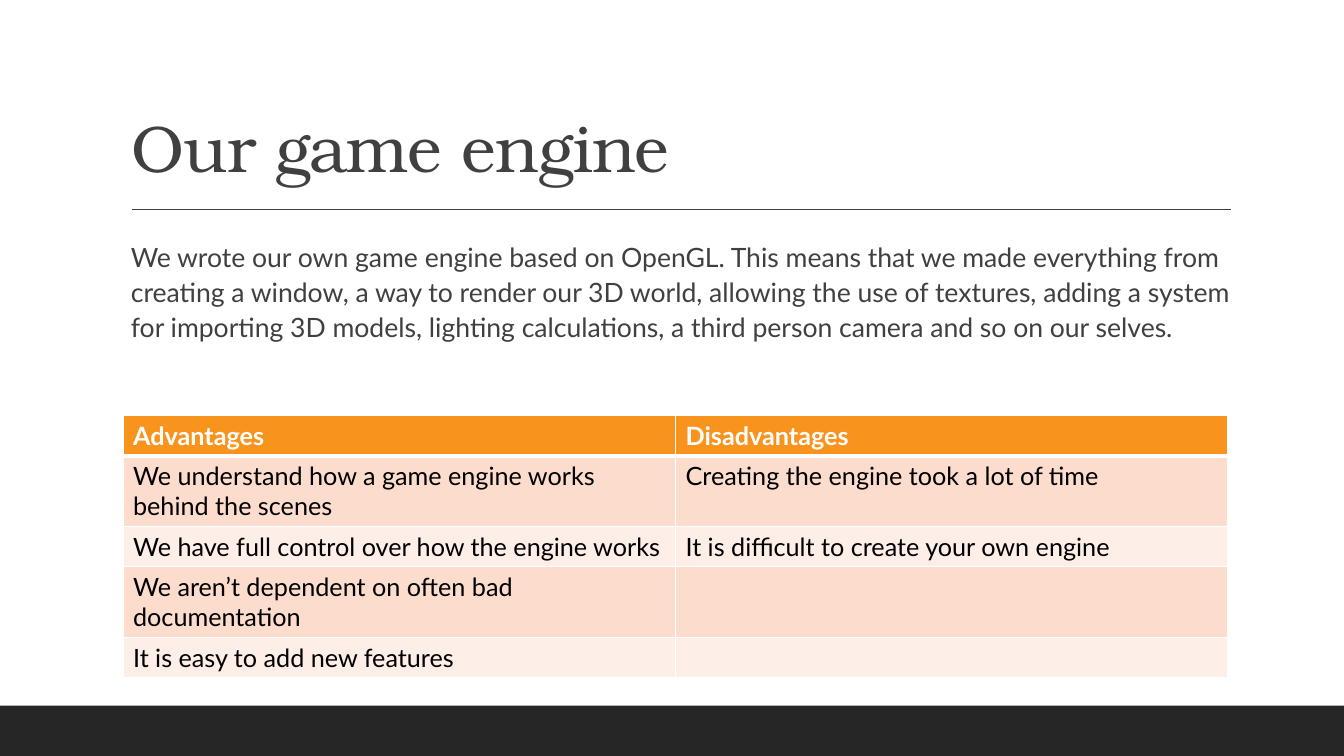
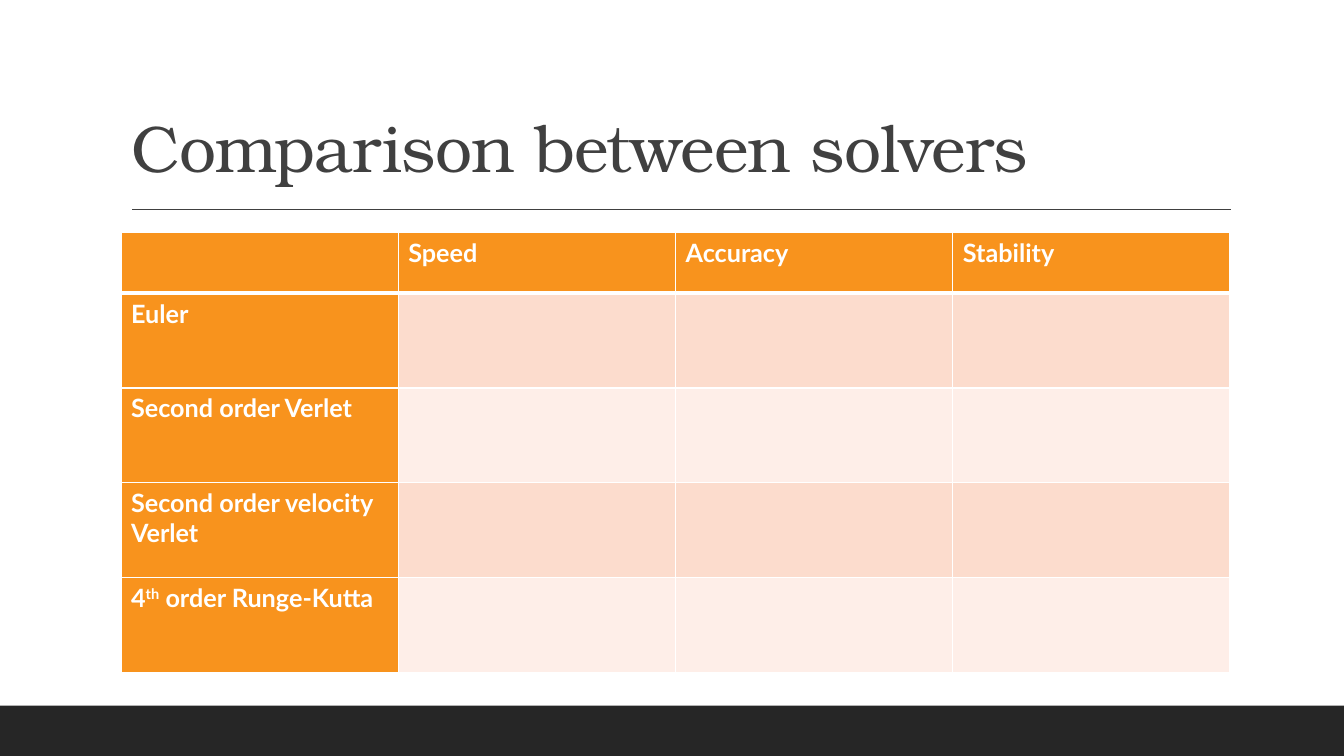
import pptx
import pptx.util
import pptx.dml.color
import pptx.enum.shapes
import pptx.enum.text
import pptx.oxml
import pptx.oxml.ns
import lxml.etree

Inches = pptx.util.Inches
Pt = pptx.util.Pt
RGBColor = pptx.dml.color.RGBColor

WHITE = RGBColor(0xFF, 0xFF, 0xFF)
BLACK = RGBColor(0x00, 0x00, 0x00)
COAL = RGBColor(0x26, 0x26, 0x26)
GREY = RGBColor(0x40, 0x40, 0x40)
ORANGE = RGBColor(0xF8, 0x93, 0x1D)
PEACH = RGBColor(0xFC, 0xDC, 0xCD)
CREAM = RGBColor(0xFE, 0xEE, 0xE8)


class Deck:
    """Shared style and the slide being filled."""

    head = "TeX Gyre Bonum"
    body = "Lato"
    left, width = 1.2, 11

    def __init__(self):
        self.prs = pptx.Presentation()
        self.prs.slide_width = Inches(13.33)
        self.prs.slide_height = Inches(7.5)
        self.slide = None

    def style(self, run, font, size, color, bold=False):
        run.font.name = font
        run.font.size = Pt(size)
        run.font.color.rgb = color
        run.font.bold = bold

    def start(self, title):
        self.slide = self.prs.slides.add_slide(self.prs.slide_layouts[5])
        self.band()
        self.rule()
        self.title(title)

    def band(self):
        band = self.slide.shapes.add_shape(
            pptx.enum.shapes.MSO_SHAPE.RECTANGLE,
            0, Inches(7), self.prs.slide_width, Inches(0.5))
        band.shadow.inherit = False
        band.fill.solid()
        band.fill.fore_color.rgb = COAL
        band.line.fill.background()

    def rule(self):
        rule = self.slide.shapes.add_connector(
            pptx.enum.shapes.MSO_CONNECTOR.STRAIGHT,
            Inches(1.31), Inches(2.08), Inches(12.21), Inches(2.08))
        rule.line.color.rgb = GREY
        rule.line.width = Pt(1)
        lxml.etree.SubElement(rule._element.spPr, pptx.oxml.ns.qn("a:effectLst"))

    def title(self, text):
        shape = self.slide.shapes.title
        shape.left, shape.top = Inches(self.left), Inches(0.31)
        shape.width, shape.height = Inches(self.width), Inches(1.59)
        frame = shape.text_frame
        frame.text = text
        frame.word_wrap = True
        frame.auto_size = pptx.enum.text.MSO_AUTO_SIZE.NONE
        frame.vertical_anchor = pptx.enum.text.MSO_ANCHOR.BOTTOM
        para = frame.paragraphs[0]
        para.alignment = pptx.enum.text.PP_ALIGN.LEFT
        para.line_spacing = 0.9
        run = para.runs[0]
        self.style(run, self.head, 47, GREY)
        run._r.get_or_add_rPr().set("spc", "-50")

    def text(self, text, top, height):
        box = self.slide.shapes.add_textbox(
            Inches(self.left), Inches(top), Inches(self.width), Inches(height))
        frame = box.text_frame
        frame.text = text
        frame.word_wrap = True
        frame.margin_left, frame.margin_right = Inches(0.1), 0
        para = frame.paragraphs[0]
        para.line_spacing = 1.1
        para.space_before, para.space_after = Pt(12), Pt(2)
        self.style(para.runs[0], self.body, 19, GREY)

    def table(self, rows, left, top, width, heights, side=False):
        """Banded table; side also gives the first column the header look."""
        count = len(rows[0])
        frame = self.slide.shapes.add_table(
            len(rows), count, Inches(left), Inches(top),
            Inches(width), Inches(sum(heights)))
        table = frame.table
        table.first_row = table.horz_banding = False
        for col in table.columns:
            col.width = Inches(width / count)
        for r, row in enumerate(rows):
            table.rows[r].height = Inches(heights[r])
            for c, text in enumerate(row):
                top_row = r == 0 or (side and c == 0)
                fill = ORANGE if top_row else (PEACH if r % 2 else CREAM)
                self.cell(table.cell(r, c), text, fill, top_row)
                self.edges(table.cell(r, c), r)

    def cell(self, cell, text, fill, bold):
        cell.fill.solid()
        cell.fill.fore_color.rgb = fill
        para = cell.text_frame.paragraphs[0]
        para.font.size = Pt(18)
        # Parts between carets are superscript
        for i, part in enumerate(text.split("^") if text else []):
            run = para.add_run()
            run.text = part
            self.style(run, self.body, 18, WHITE if bold else BLACK, bold)
            if i % 2:
                run._r.get_or_add_rPr().set("baseline", "30000")

    def edges(self, cell, row):
        """White borders, thicker under the header row."""
        props = cell._tc.get_or_add_tcPr()
        wide = {"T": row == 1, "B": row == 0}
        for i, edge in enumerate("LRTB"):
            size = Pt(3 if wide.get(edge) else 1)
            props.insert(i, pptx.oxml.parse_xml(
                f'<a:ln{edge} {pptx.oxml.ns.nsdecls("a")} w="{size}">'
                f'<a:solidFill><a:srgbClr val="{WHITE}"/></a:solidFill>'
                f'</a:ln{edge}>'))


def main():
    deck = Deck()

    # Game engine: intro and pros and cons
    deck.start("Our game engine")
    deck.text(
        "We wrote our own game engine based on OpenGL. This means that we made "
        "everything from creating a window, a way to render our 3D world, "
        "allowing the use of textures, adding a system for importing 3D models, "
        "lighting calculations, a third person camera and so on our selves.",
        2.31, 1.6)
    deck.table([
        ("Advantages", "Disadvantages"),
        ("We understand how a game engine works behind the scenes",
         "Creating the engine took a lot of time"),
        ("We have full control over how the engine works",
         "It is difficult to create your own engine"),
        ("We aren’t dependent on often bad documentation", ""),
        ("It is easy to add new features", ""),
    ], 1.22, 4.12, 10.96, [0.4, 0.7, 0.4, 0.7, 0.4])

    # Solvers: grid still to be filled in
    deck.start("Comparison between solvers")
    names = ("Euler", "Second order Verlet", "Second order velocity Verlet",
             "4^th^ order Runge-Kutta")
    rows = [("", "Speed", "Accuracy", "Stability")]
    rows += [(name, "", "", "") for name in names]
    deck.table(rows, deck.left, 2.31, deck.width,
               [0.6] + [0.94] * len(names), side=True)

    deck.prs.save("out.pptx")


if __name__ == "__main__":
    main()
